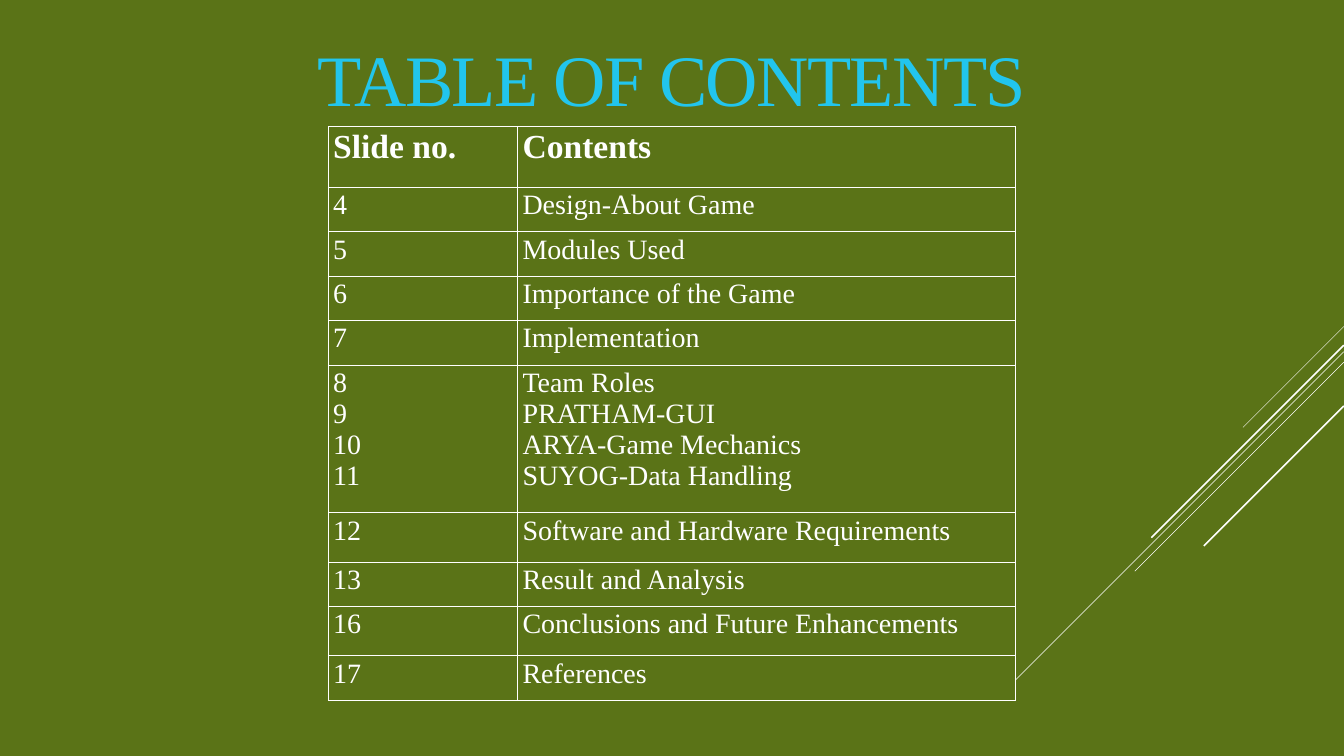
from lxml import etree
from pptx import Presentation
from pptx import util as u
from pptx.dml import color
from pptx.enum import shapes, text
from pptx.oxml import ns

Pt = u.Pt
FONT = "Times New Roman"
HUES = {"back": "5A7317", "title": "22C5ED", "text": "FFFFFF", "line": "FFFFFF"}
EDGE = 1920
RAYS = [(466.5, 144, 0.75), (502.5, 469.5, 0.75), (517.5, 298.5, 0.75),
        (493, 275, 2.25), (580, 200, 2.25)]
COLS = [270.7, 711.4]
ROWS = [
    (87, "Slide no.", "Contents"),
    (63.4, "4", "Design-About Game"),
    (63.4, "5", "Modules Used"),
    (63.4, "6", "Importance of the Game"),
    (63.4, "7", "Implementation"),
    (211, "8\n9\n10\n11",
     "Team Roles\nPRATHAM-GUI\nARYA-Game Mechanics\nSUYOG-Data Handling"),
    (70.6, "12", "Software and Hardware Requirements"),
    (63.4, "13", "Result and Analysis"),
    (70.6, "16", "Conclusions and Future Enhancements"),
    (63.4, "17", "References"),
]


def rgb(name):
    return color.RGBColor.from_string(HUES[name])


def style(frame, size, hue, bold=False):
    for para in frame.paragraphs:
        for run in para.runs:
            font = run.font
            font.name, font.size, font.bold = FONT, Pt(size), bold
            font.color.rgb = rgb(hue)


def add_ray(slide, top, span, width):
    ray = slide.shapes.add_connector(
        shapes.MSO_CONNECTOR.STRAIGHT,
        Pt(EDGE), Pt(top), Pt(EDGE - span), Pt(top + span))
    ray.line.color.rgb = rgb("line")
    ray.line.width = Pt(width)
    etree.SubElement(ray._element.spPr, ns.qn("a:effectLst"))


def set_title(slide, words):
    title = slide.shapes.title
    title.left, title.top = Pt(95), Pt(39.6)
    title.width, title.height = Pt(1730), Pt(141)
    frame = title.text_frame
    frame.text = words
    frame.auto_size = text.MSO_AUTO_SIZE.NONE
    frame.vertical_anchor = text.MSO_ANCHOR.MIDDLE
    para = frame.paragraphs[0]
    para.alignment = text.PP_ALIGN.CENTER
    style(frame, 103.5, "title")
    para.runs[0]._r.get_or_add_rPr().set("spc", "-230")


def add_edges(cell):
    props = cell._tc.get_or_add_tcPr()
    for side in ("lnL", "lnR", "lnT", "lnB"):
        line = etree.SubElement(props, ns.qn("a:" + side), w=str(Pt(1)))
        fill = etree.SubElement(line, ns.qn("a:solidFill"))
        etree.SubElement(fill, ns.qn("a:srgbClr"), val=HUES["line"])


def add_grid(slide):
    high = sum(row[0] for row in ROWS)
    grid = slide.shapes.add_table(len(ROWS), len(COLS), Pt(468.7), Pt(180.7),
                                  Pt(sum(COLS)), Pt(high)).table
    grid.first_row = grid.horz_banding = False
    for col, width in zip(grid.columns, COLS):
        col.width = Pt(width)
    for i, (height, *words) in enumerate(ROWS):
        grid.rows[i].height = Pt(height)
        for j, word in enumerate(words):
            cell = grid.cell(i, j)
            cell.text_frame.text = word
            style(cell.text_frame, 40 if i else 48, "text", i == 0)
            add_edges(cell)
            cell.fill.background()


def main():
    deck = Presentation()
    deck.slide_width, deck.slide_height = Pt(1920.24), Pt(1080)
    slide = deck.slides.add_slide(deck.slide_layouts[5])
    slide.background.fill.solid()
    slide.background.fill.fore_color.rgb = rgb("back")
    for ray in RAYS:
        add_ray(slide, *ray)
    set_title(slide, "TABLE OF CONTENTS")
    add_grid(slide)
    deck.save("out.pptx")


if __name__ == "__main__":
    main()
